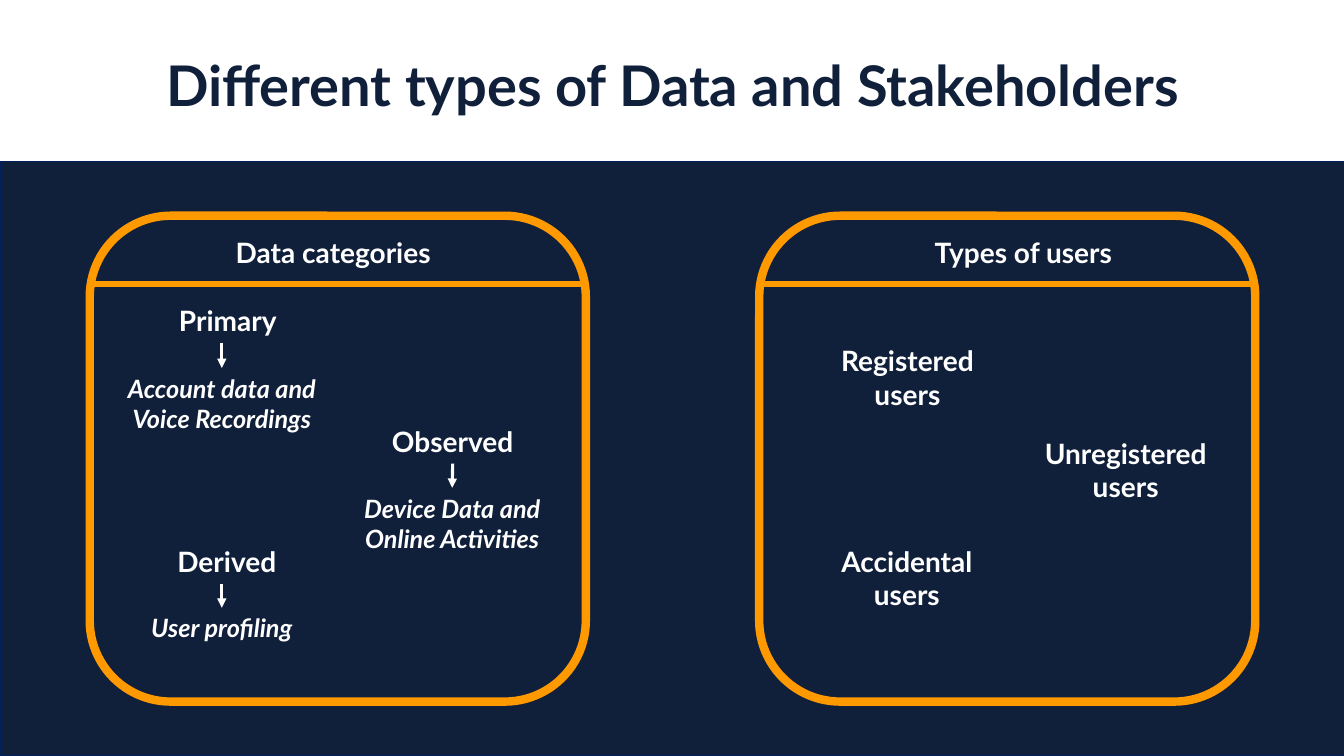
from dataclasses import dataclass

from lxml.etree import SubElement
from pptx import Presentation
from pptx.dml.color import RGBColor
from pptx.enum.shapes import MSO_CONNECTOR as Connector, MSO_SHAPE as Preset
from pptx.enum.text import MSO_ANCHOR as Anchor, MSO_AUTO_SIZE as AutoSize, PP_ALIGN as Align
from pptx.oxml.ns import qn
from pptx.util import Inches, Pt


@dataclass(frozen=True)
class Theme:
    font: str = "Lato"
    navy: RGBColor = RGBColor(0x11, 0x20, 0x3A)
    edge: RGBColor = RGBColor(0x00, 0x20, 0x60)
    orange: RGBColor = RGBColor(0xFF, 0x99, 0x00)
    white: RGBColor = RGBColor(0xFF, 0xFF, 0xFF)
    title_size: Pt = Pt(40)
    label_size: Pt = Pt(20)
    detail_size: Pt = Pt(18)


THEME = Theme()
TITLE = "Different types of Data and Stakeholders"
PANEL_TOP, PANEL_WIDTH, PANEL_HEIGHT = 2.14, 4.92, 4.82
DIVIDER_Y = 2.82
LABEL_HEIGHT, TWO_LINE_HEIGHT, DETAIL_HEIGHT = 0.44, 0.77, 1.01

# Panel left, heading, heading left and width
PANELS = [
    (0.89, "Data categories", 2.04, 2.53),
    (7.53, "Types of users", 9, 2.3),
]
# Label box (left, top, width), then detail box
DATA_CATEGORIES = [
    ("Primary", (0.95, 2.96, 2.62), "Account data and Voice Recordings", (0.89, 3.65, 2.62)),
    ("Observed", (3.6, 4.16, 1.78), "Device Data and Online Activities", (3.39, 4.84, 2.19)),
    ("Derived", (1.36, 5.35, 1.78), "User profiling", (1.31, 6.03, 1.78)),
]
USER_TYPES = [
    ("Registered users", (7.95, 3.36, 2.1)),
    ("Unregistered users", (10.15, 4.28, 2.03)),
    ("Accidental users", (8.16, 5.35, 1.67)),
]


def write(shape, text, size, color, italic=None):
    frame = shape.text_frame
    frame.word_wrap = True
    frame.auto_size = AutoSize.NONE
    frame.vertical_anchor = Anchor.TOP
    paragraph = frame.paragraphs[0]
    paragraph.text = text
    paragraph.alignment = Align.CENTER
    font = paragraph.font
    font.name, font.size, font.bold, font.italic = THEME.font, size, True, italic
    font.color.rgb = color


def add_title(slide):
    title = slide.shapes.title
    title.left, title.top = Inches(0.95), Inches(0.45)
    title.width, title.height = Inches(11.44), Inches(0.77)
    write(title, TITLE, THEME.title_size, THEME.navy)


def add_label(slide, text, box, height=LABEL_HEIGHT, size=THEME.label_size, italic=None):
    label = slide.shapes.add_textbox(*map(Inches, (*box, height)))
    write(label, text, size, THEME.white, italic)
    return label


def add_line(slide, start, end, color, width):
    line = slide.shapes.add_connector(Connector.STRAIGHT, *start, *end)
    line.line.color.rgb = color
    line.line.width = Pt(width)
    SubElement(line._element.spPr, qn("a:effectLst"))
    return line


def add_backdrop(slide):
    backdrop = slide.shapes.add_shape(
        Preset.RECTANGLE, 0, Inches(1.6), Inches(13.33), Inches(5.9))
    backdrop.shadow.inherit = False
    backdrop.fill.solid()
    backdrop.fill.fore_color.rgb = THEME.navy
    backdrop.line.color.rgb = THEME.edge
    backdrop.line.width = Pt(1)


def add_panel(slide, left, heading, heading_left, heading_width):
    panel = slide.shapes.add_shape(
        Preset.ROUNDED_RECTANGLE,
        *map(Inches, (left, PANEL_TOP, PANEL_WIDTH, PANEL_HEIGHT)))
    panel.shadow.inherit = False
    panel.fill.background()
    panel.line.color.rgb = THEME.orange
    panel.line.width = Pt(6)
    y = Inches(DIVIDER_Y)
    add_line(slide, (panel.left, y), (panel.left + panel.width, y), THEME.orange, 4.5)
    add_label(slide, heading, (heading_left, 2.29, heading_width))


def add_category(slide, name, name_box, detail, detail_box):
    label = add_label(slide, name, name_box)
    example = add_label(slide, detail, detail_box, DETAIL_HEIGHT, THEME.detail_size, True)
    # The arrow drops straight onto the middle of the detail text
    x = example.left + example.width // 2
    arrow = add_line(slide, (x, label.top + label.height), (x, example.top), THEME.white, 2.25)
    if abs(label.left + label.width // 2 - x) < Inches(0.02):
        arrow.begin_connect(label, 2)
    arrow.end_connect(example, 0)
    SubElement(arrow.line._get_or_add_ln(), qn("a:tailEnd"), type="triangle")


def main():
    presentation = Presentation()
    presentation.slide_width, presentation.slide_height = Inches(13.33), Inches(7.5)
    slide = presentation.slides.add_slide(presentation.slide_layouts[5])

    # Title and dark backdrop
    add_backdrop(slide)
    add_title(slide)

    # Framed panels and their contents
    for panel in PANELS:
        add_panel(slide, *panel)
    for category in DATA_CATEGORIES:
        add_category(slide, *category)
    for name, box in USER_TYPES:
        add_label(slide, name, box, TWO_LINE_HEIGHT)

    presentation.save("out.pptx")


if __name__ == "__main__":
    main()
